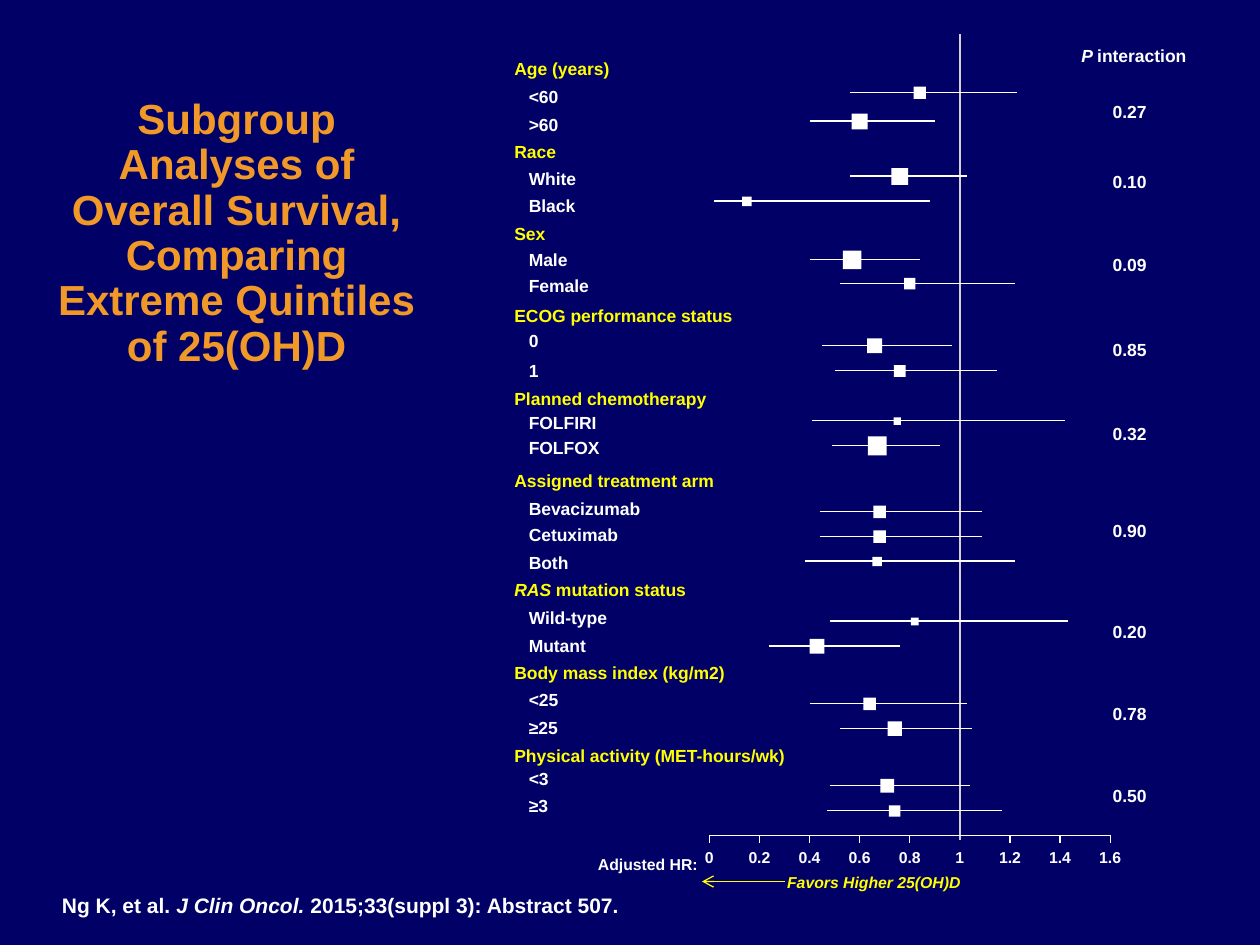
from lxml import etree
from pptx import Presentation
from pptx.dml.color import RGBColor
from pptx.enum import shapes, text
from pptx.oxml import ns
from pptx.util import Cm, Pt

NAVY = RGBColor(0x00, 0x00, 0x66)
ORANGE = RGBColor(0xF0, 0x98, 0x28)
YELLOW = RGBColor(0xFF, 0xFF, 0x00)
WHITE = RGBColor(0xFF, 0xFF, 0xFF)
GREY = RGBColor(0xD3, 0xD3, 0xD3)

LINE_HEIGHT = 0.43
INDENT = 0.29
HR_STEP = 0.2
HR_MAX = 1.6

# Group: heading runs, top, width, (P value, its top), members.
# Member: label, top, width, interval height, low, ratio, high, marker size.
GROUPS = [
    ([("Age (years)", False)], 1.17, 1.93, ("0.27", 2.03), [
        ("<60", 1.73, 0.89, 1.86, 0.56, 0.84, 1.23, 0.25),
        (">60", 2.29, 0.89, 2.44, 0.40, 0.60, 0.90, 0.32)]),
    ([("Race", False)], 2.84, 0.84, ("0.10", 3.45), [
        ("White", 3.39, 1.27, 3.55, 0.56, 0.76, 1.03, 0.34),
        ("Black", 3.94, 1.24, 4.05, 0.02, 0.15, 0.88, 0.19)]),
    ([("Sex", False)], 4.50, 0.64, ("0.09", 5.13), [
        ("Male", 5.03, 1.09, 5.23, 0.40, 0.57, 0.84, 0.37),
        ("Female", 5.54, 1.52, 5.71, 0.52, 0.80, 1.22, 0.23)]),
    ([("ECOG performance status", False)], 6.15, 4.45, ("0.85", 6.83), [
        ("0", 6.65, 0.48, 6.96, 0.45, 0.66, 0.97, 0.30),
        ("1", 7.26, 0.48, 7.47, 0.50, 0.76, 1.15, 0.24)]),
    ([("Planned chemotherapy", False)], 7.82, 3.91, ("0.32", 8.53), [
        ("FOLFIRI", 8.31, 1.68, 8.48, 0.41, 0.75, 1.42, 0.15),
        ("FOLFOX", 8.81, 1.73, 8.98, 0.49, 0.67, 0.92, 0.38)]),
    ([("Assigned treatment arm", False)], 9.47, 4.06, ("0.90", 10.49), [
        ("Bevacizumab", 10.03, 2.57, 10.31, 0.44, 0.68, 1.09, 0.25),
        ("Cetuximab", 10.57, 2.11, 10.81, 0.44, 0.68, 1.09, 0.25),
        ("Both", 11.13, 1.12, 11.31, 0.38, 0.67, 1.22, 0.19)]),
    ([("RAS", True), (" mutation status", False)], 11.68, 3.51, ("0.20", 12.52), [
        ("Wild-type", 12.24, 1.91, 12.52, 0.48, 0.82, 1.43, 0.16),
        ("Mutant", 12.80, 1.47, 13.02, 0.24, 0.43, 0.76, 0.30)]),
    ([("Body mass index (kg/m2)", False)], 13.34, 4.27, ("0.78", 14.17), [
        ("<25", 13.89, 0.89, 14.18, 0.40, 0.64, 1.03, 0.25),
        ("≥25", 14.45, 0.89, 14.68, 0.52, 0.74, 1.05, 0.29)]),
    ([("Physical activity (MET-hours/wk)", False)], 15.01, 5.51, ("0.50", 15.82), [
        ("<3", 15.49, 0.71, 15.83, 0.48, 0.71, 1.04, 0.28),
        ("≥3", 16.03, 0.69, 16.34, 0.47, 0.74, 1.17, 0.23)]),
]


def add_text(slide, box, runs, size, colour, align=text.PP_ALIGN.LEFT,
             wrap=False, margins=(0, 0), indent=0):
    """Write one bold paragraph of (words, italic) runs in a box given in cm."""
    frame = slide.shapes.add_textbox(*map(Cm, box)).text_frame
    frame.word_wrap = wrap
    frame.margin_left = Cm(margins[0] + indent)
    frame.margin_right = Cm(margins[0])
    frame.margin_top = frame.margin_bottom = Cm(margins[1])
    paragraph = frame.paragraphs[0]
    paragraph.alignment = align
    for words, italic in runs:
        run = paragraph.add_run()
        run.text = words
        run.font.name = "Arial"
        run.font.size = Pt(size)
        run.font.bold = True
        run.font.italic = italic
        run.font.color.rgb = colour
    return frame


def add_line(slide, start, end, colour=WHITE):
    """Draw a thin straight line between two points given in cm."""
    line = slide.shapes.add_connector(
        shapes.MSO_CONNECTOR.STRAIGHT, *map(Cm, (*start, *end)))
    line.line.color.rgb = colour
    line.line.width = Pt(0.75)
    etree.SubElement(line._element.spPr, ns.qn("a:effectLst"))
    return line


def add_title(slide, box):
    """Place the slide title with its text shadow."""
    words = "Subgroup Analyses of Overall Survival, Comparing Extreme Quintiles of 25(OH)D"
    frame = add_text(slide, box, [(words, False)], 24, ORANGE,
                     text.PP_ALIGN.CENTER, True, (0.25, 0.13))
    frame.vertical_anchor = text.MSO_ANCHOR.MIDDLE
    title = frame.paragraphs[0]
    title.line_spacing = 0.9
    fill = title.runs[0]._r.rPr.find(ns.qn("a:solidFill"))
    effects = etree.Element(ns.qn("a:effectLst"))
    shadow = etree.SubElement(effects, ns.qn("a:outerShdw"),
                              dist="35921", dir="2700000")
    etree.SubElement(shadow, ns.qn("a:srgbClr"), val="000000")
    fill.addnext(effects)


def add_labels(slide, left, top):
    """List the subgroup headings and their indented members."""
    for heading, heading_top, heading_width, _, members in GROUPS:
        add_text(slide, (left, top + heading_top, heading_width, LINE_HEIGHT),
                 heading, 10, YELLOW)
        for label, label_top, width, *_ in members:
            add_text(slide, (left, top + label_top, width, LINE_HEIGHT),
                     [(label, False)], 10, WHITE, indent=INDENT)


def add_p_values(slide, left, top):
    """Write the column of interaction P values under its heading."""
    add_text(slide, (left, top + 0.91, 2.16, LINE_HEIGHT),
             [("P ", True), ("interaction", False)], 10, WHITE)
    for _, _, _, (value, value_top), _ in GROUPS:
        add_text(slide, (left + 0.63, top + value_top, 0.69, LINE_HEIGHT),
                 [(value, False)], 10, WHITE)


def add_forest(slide, left, top, width, height):
    """Draw the reference line, the axis, and each interval with its marker."""
    def across(ratio):
        return left + width * ratio / HR_MAX

    axis = top + height
    add_line(slide, (across(1), axis + 0.1), (across(1), top + 0.69), GREY)
    add_line(slide, (left, axis), (left + width, axis))
    for step in range(round(HR_MAX / HR_STEP) + 1):
        ratio = round(step * HR_STEP, 1)
        x = across(ratio)
        if ratio != 1:
            add_line(slide, (x, axis), (x, axis + 0.15))
        caption = f"{ratio:g}"
        label_width = 0.18 if len(caption) == 1 else 0.46
        add_text(slide, (x - label_width / 2, axis + 0.25, label_width, 0.38),
                 [(caption, False)], 9, WHITE, text.PP_ALIGN.CENTER)
    for *_, members in GROUPS:
        for _, _, _, y, low, ratio, high, size in members:
            add_line(slide, (across(low), top + y), (across(high), top + y))
            marker = slide.shapes.add_shape(
                shapes.MSO_SHAPE.RECTANGLE, Cm(across(ratio) - size / 2),
                Cm(top + y - size / 2 + 0.01), Cm(size), Cm(size))
            marker.shadow.inherit = False
            marker.fill.solid()
            marker.fill.fore_color.rgb = WHITE
            marker.line.fill.background()


def add_axis_notes(slide, left, top):
    """Name the axis and show the favoured direction with an arrow."""
    add_text(slide, (left, top, 2.34, 0.38), [("Adjusted HR:", False)], 9, WHITE,
             text.PP_ALIGN.CENTER, True)
    add_text(slide, (left + 3.91, top + 0.36, 3.63, 0.38),
             [("Favors Higher 25(OH)D", True)], 9, YELLOW,
             text.PP_ALIGN.CENTER, True)
    arrow = add_line(slide, (left + 3.93, top + 0.53), (left + 2.26, top + 0.53), YELLOW)
    etree.SubElement(arrow.line._get_or_add_ln(), ns.qn("a:tailEnd"), type="arrow")


def add_citation(slide, box):
    """Write the source reference at the foot of the slide."""
    add_text(slide, box, [("Ng K, et al. ", False), ("J Clin Oncol. ", True),
                          ("2015;33(suppl 3): Abstract 507.", False)],
             12, WHITE, wrap=True, margins=(0.25, 0.13))


def main():
    """Build the slide and save it."""
    deck = Presentation()
    deck.slide_width, deck.slide_height = Cm(25.4), Cm(19.05)
    slide = deck.slides.add_slide(deck.slide_layouts[6])
    slide.background.fill.solid()
    slide.background.fill.fore_color.rgb = NAVY
    add_title(slide, (0.64, -0.64, 8.26, 10.72))
    add_labels(slide, 10.37, 0)
    add_p_values(slide, 21.8, 0)
    add_forest(slide, 14.3, 0, 8.08, 16.84)
    add_axis_notes(slide, 11.89, 17.24)
    add_citation(slide, (1, 17.86, 13.54, 0.77))
    deck.save("out.pptx")


if __name__ == "__main__":
    main()
